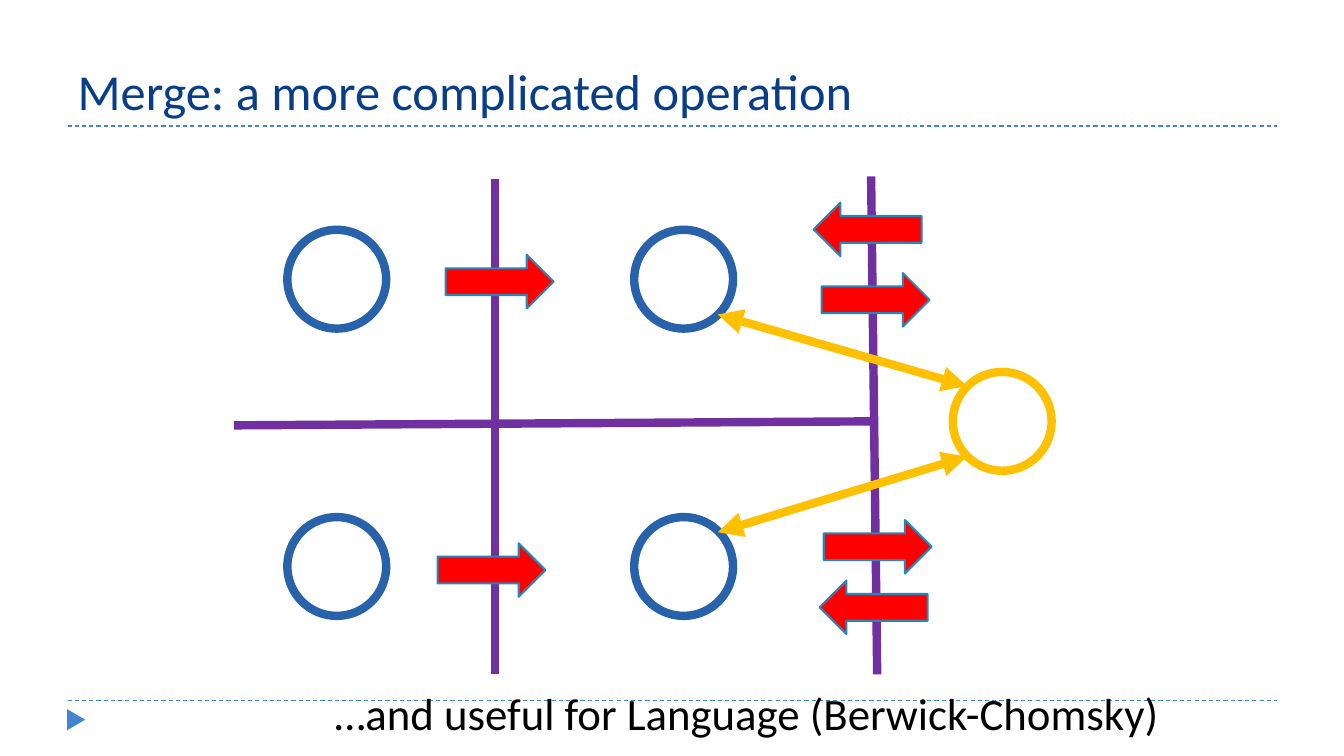
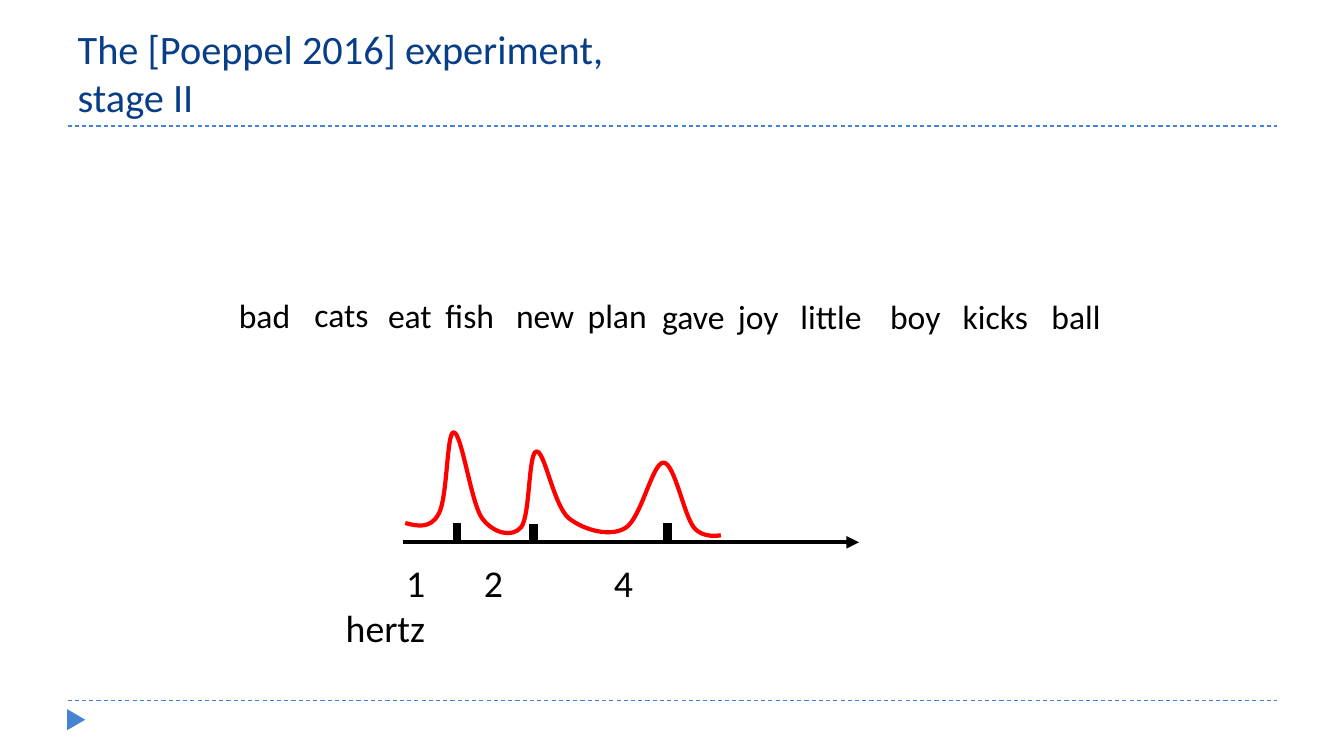
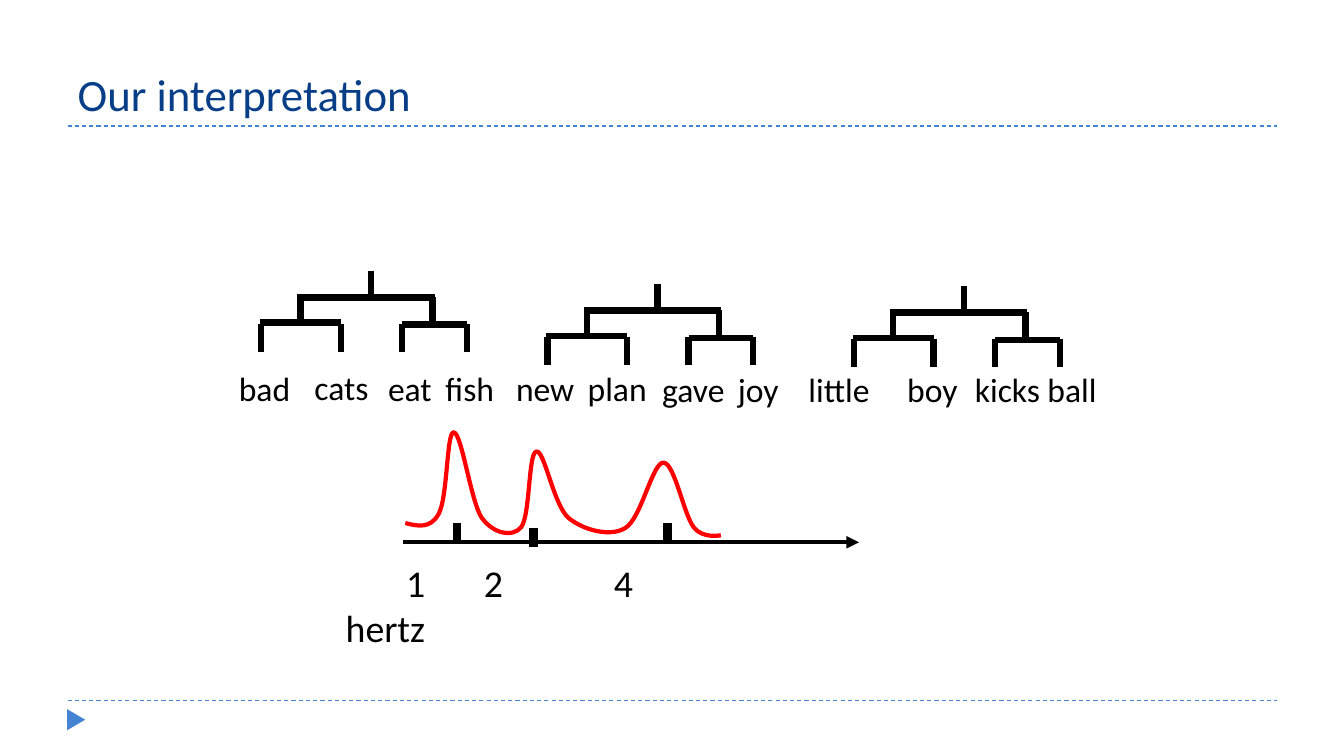
"""Build three slides on merge and the rhythm of speech."""
import dataclasses
import itertools

import lxml.etree
import pptx
import pptx.dml.color
import pptx.enum.dml
import pptx.enum.shapes
import pptx.enum.text
import pptx.oxml.ns
import pptx.presentation
import pptx.shapes.base
import pptx.slide
import pptx.util

PX = 9144
FONT = "Calibri"
COLORS = {
    "title": "073E87",
    "frame": "4584D3",
    "text": "000000",
    "wall": "7030A0",
    "cell": "2862AA",
    "hub": "FFC000",
    "arrow": "FF0000",
    "edge": "2487BB",
    "wave": "FF0000",
}
SHAPE = pptx.enum.shapes.MSO_SHAPE
qn = pptx.oxml.ns.qn


@dataclasses.dataclass(frozen=True)
class Box:
    left: int
    top: int
    wide: int
    high: int


@dataclasses.dataclass(frozen=True)
class Line:
    x1: int
    y1: int
    x2: int
    y2: int


@dataclasses.dataclass(frozen=True)
class Arrow:
    left: int
    top: int
    turn: int = 0


@dataclasses.dataclass(frozen=True)
class Word:
    text: str
    lefts: tuple[int, int]
    drop: int
    wide: int


WALLS = (Line(491, 178, 491, 669), Line(864, 175, 870, 669), Line(232, 422, 866, 418))
CELLS = tuple(itertools.product((285, 629), (228, 513)))
HUB = (945, 369)
ARROWS = (
    Arrow(442, 253), Arrow(434, 539), Arrow(815, 271),
    Arrow(817, 516), Arrow(807, 201, 180), Arrow(813, 576, 180),
)
LINKS = (Line(712, 312, 959, 383), Line(712, 528, 959, 453))
WORDS = (
    Word("bad", (227, 227), 1, 75),
    Word("cats", (302, 302), 0, 76),
    Word("eat", (375, 375), 1, 65),
    Word("fish", (432, 432), 1, 69),
    Word("new", (502, 502), 1, 80),
    Word("plan", (573, 573), 1, 79),
    Word("gave", (647, 647), 2, 86),
    Word("joy", (722, 722), 2, 61),
    Word("little", (784, 792), 2, 82),
    Word("boy", (873, 890), 2, 73),
    Word("kicks", (945, 957), 2, 88),
    Word("ball", (1033, 1029), 2, 71),
)
WAVE = (
    (402, 519),
    (414, 522), (427, 525), (435, 510),
    (444, 495), (443, 428), (450, 429),
    (458, 429), (467, 498), (478, 514),
    (489, 529), (508, 534), (517, 523),
    (526, 511), (524, 449), (532, 448),
    (540, 446), (549, 501), (564, 514),
    (579, 526), (605, 533), (620, 524),
    (636, 515), (647, 459), (658, 459),
    (669, 459), (678, 510), (688, 523),
    (697, 535), (715, 531), (715, 531),
)
TREE = (
    *(Line(x, 321, x, 349) for x in (259, 338, 399, 463)),
    Line(258, 320, 338, 320),
    Line(399, 322, 463, 322),
    Line(429, 295, 429, 323),
    Line(298, 292, 298, 320),
    Line(296, 295, 431, 295),
    Line(368, 269, 368, 296),
)
ROOTS = ((0, 0), (284, 13), (588, 15))


def style(par, size: float, color: str) -> None:
    """Give a paragraph its font."""
    par.font.name = FONT
    par.font.size = pptx.util.Pt(size)
    par.font.color.rgb = pptx.dml.color.RGBColor.from_string(COLORS[color])


def stroke(item, color: str, width: float) -> None:
    """Give a shape or connector its line."""
    item.line.color.rgb = pptx.dml.color.RGBColor.from_string(COLORS[color])
    item.line.width = pptx.util.Pt(width)


def draw(slide: pptx.slide.Slide, line: Line, color: str, width: float,
         dash: bool = False, ends: tuple[str, ...] = ()) -> None:
    """Draw a straight line, with arrowheads at the named ends."""
    item = slide.shapes.add_connector(
        pptx.enum.shapes.MSO_CONNECTOR.STRAIGHT,
        *(PX * n for n in dataclasses.astuple(line)))
    stroke(item, color, width)
    if dash:
        item.line.dash_style = pptx.enum.dml.MSO_LINE.DASH
    props = item.element.spPr
    for end in ends:
        lxml.etree.SubElement(props.find(qn("a:ln")), qn(f"a:{end}"), type="triangle")
    lxml.etree.SubElement(props, qn("a:effectLst"))


def place(slide: pptx.slide.Slide, kind: SHAPE, box: Box,
          fill: str = "", turn: int = 0) -> pptx.shapes.base.BaseShape:
    """Add a preset shape without shadow or line."""
    item = slide.shapes.add_shape(kind, *(PX * n for n in dataclasses.astuple(box)))
    item.shadow.inherit = False
    item.rotation = turn
    item.line.fill.background()
    if fill:
        item.fill.solid()
        item.fill.fore_color.rgb = pptx.dml.color.RGBColor.from_string(COLORS[fill])
    else:
        item.fill.background()
    return item


def write(slide: pptx.slide.Slide, box: Box, lines: tuple[str, ...], size: float,
          wrap: bool = True, tabs: tuple[int, ...] = ()) -> None:
    """Add a text box with one paragraph for each line."""
    item = slide.shapes.add_textbox(*(PX * n for n in dataclasses.astuple(box)))
    frame = item.text_frame
    frame.word_wrap = wrap
    for spot, text in enumerate(lines):
        par = frame.add_paragraph() if spot else frame.paragraphs[0]
        par.text = text
        if tabs and "\t" in text:
            stops = lxml.etree.SubElement(par._p.get_or_add_pPr(), qn("a:tabLst"))
            for tab in tabs:
                lxml.etree.SubElement(stops, qn("a:tab"), pos=str(PX * tab), algn="l")
        style(par, size, "text")


def start(deck: pptx.presentation.Presentation, text: str, size: float) -> pptx.slide.Slide:
    """Add a slide with its title and the shared frame."""
    slide = deck.slides.add_slide(deck.slide_layouts.get_by_name("Title Only"))
    title = slide.shapes.title
    title.left, title.top, title.width, title.height = (
        PX * n for n in (67, 17, 1200, 108))
    frame = title.text_frame
    frame.text = text
    frame.word_wrap = True
    frame.auto_size = pptx.enum.text.MSO_AUTO_SIZE.NONE
    frame.vertical_anchor = pptx.enum.text.MSO_ANCHOR.BOTTOM
    par = frame.paragraphs[0]
    par.alignment = pptx.enum.text.PP_ALIGN.LEFT
    style(par, size, "title")
    for y in (695, 125):
        draw(slide, Line(67, y, 1267, y), "frame", 0.75, dash=True)
    place(slide, SHAPE.ISOSCELES_TRIANGLE, Box(65, 705, 21, 18), "frame", 90)
    return slide


def ring(slide: pptx.slide.Slide, left: int, top: int, color: str) -> None:
    """Draw an open circle."""
    stroke(place(slide, SHAPE.OVAL, Box(left, top, 98, 98)), color, 6)


def wave(slide: pptx.slide.Slide) -> None:
    """Draw the curve with three peaks."""
    pen = slide.shapes.build_freeform(*WAVE[0], scale=PX)
    pen.add_line_segments(WAVE[1:], close=False)
    item = pen.convert_to_shape()
    item.shadow.inherit = False
    item.fill.background()
    stroke(item, "wave", 3)
    track = next(item.element.iter(qn("a:path")))
    steps = track.findall(qn("a:lnTo"))
    for first in range(0, len(steps), 3):
        curve = lxml.etree.SubElement(track, qn("a:cubicBezTo"))
        for step in steps[first:first + 3]:
            curve.append(step[0])
            track.remove(step)


def chart(slide: pptx.slide.Slide, stage: int, top: int, mid: int) -> None:
    """Draw the row of words above the axis, its ticks and the curve."""
    for word in WORDS:
        box = Box(word.lefts[stage], top + word.drop, word.wide, 50)
        write(slide, box, (word.text,), 24, wrap=False)
    draw(slide, Line(400, 538, 852, 538), "text", 3, ends=("tailEnd",))
    write(slide, Box(333, 550, 388, 101), ("\t1\t2\t4", "hertz"), 27, tabs=(60, 137, 266))
    for x, y in ((662, 519), (453, 519), (529, mid)):
        draw(slide, Line(x, y, x, y + 19), "text", 6)
    wave(slide)


def merge(deck: pptx.presentation.Presentation) -> None:
    """Build the slide on the merge operation."""
    slide = start(deck, "Merge: a more complicated operation", 36)
    for line in WALLS:
        draw(slide, line, "wall", 6)
    for left, top in CELLS:
        ring(slide, left, top, "cell")
    ring(slide, *HUB, "hub")
    for arrow in ARROWS:
        box = Box(arrow.left, arrow.top, 107, 53)
        stroke(place(slide, SHAPE.RIGHT_ARROW, box, "arrow", arrow.turn), "edge", 1.5)
    for line in LINKS:
        draw(slide, line, "hub", 6, ends=("headEnd", "tailEnd"))
    write(slide, Box(322, 675, 877, 64), ("…and useful for Language (Berwick-Chomsky)",), 32)


def trial(deck: pptx.presentation.Presentation) -> None:
    """Build the slide on the second stage of the experiment."""
    slide = start(deck, "The [Poeppel 2016] experiment,\vstage II", 28.8)
    chart(slide, 0, 287, 520)


def reading(deck: pptx.presentation.Presentation) -> None:
    """Build the slide with a tree above each sentence."""
    slide = start(deck, "Our interpretation", 32)
    chart(slide, 1, 359, 524)
    for (right, down), limb in itertools.product(ROOTS, TREE):
        line = Line(limb.x1 + right, limb.y1 + down, limb.x2 + right, limb.y2 + down)
        draw(slide, line, "text", 4.5)


def main() -> None:
    """Build and save the deck."""
    deck = pptx.Presentation()
    deck.slide_width, deck.slide_height = PX * 1333, PX * 750
    merge(deck)
    trial(deck)
    reading(deck)
    deck.save("out.pptx")


if __name__ == "__main__":
    main()
